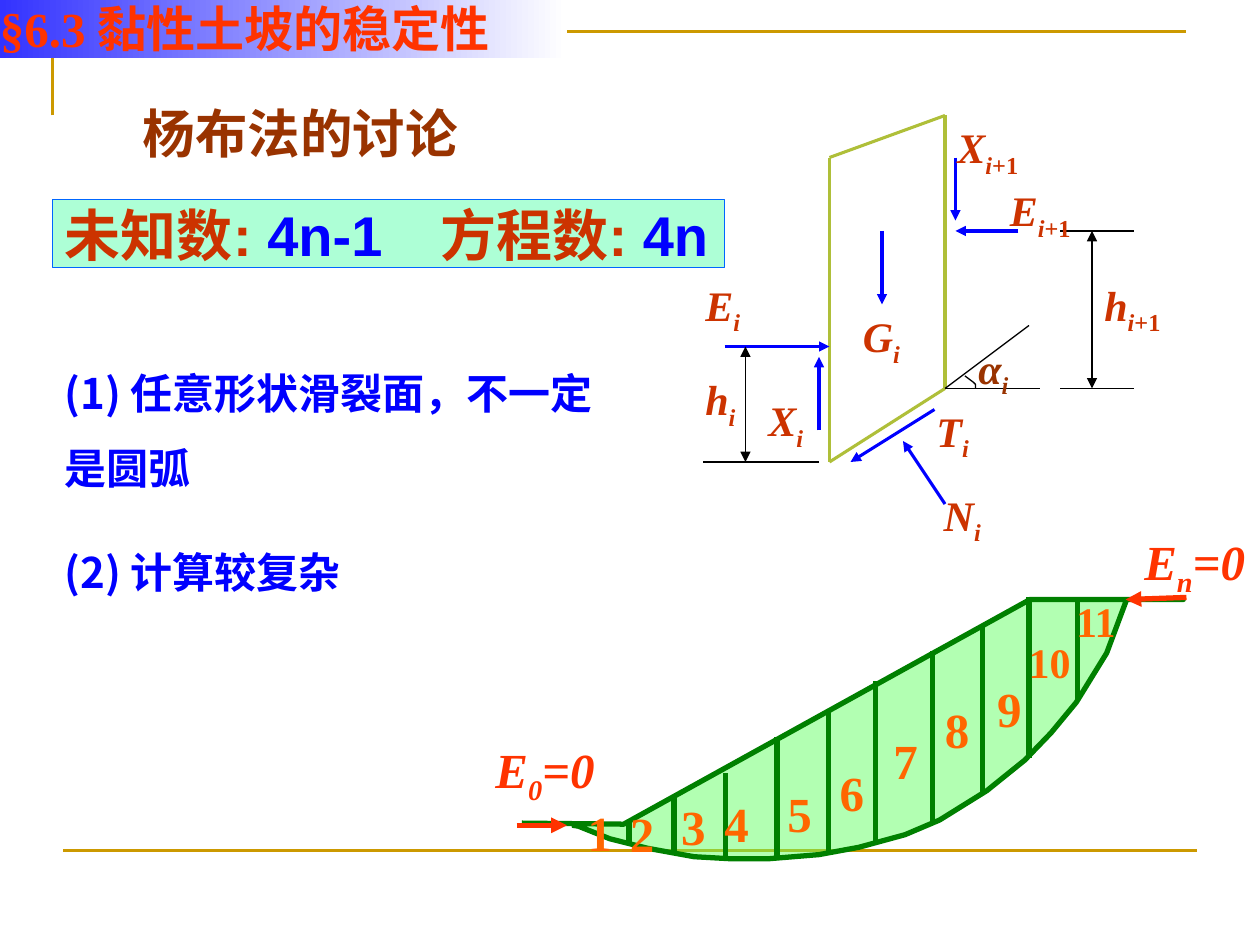
from lxml import etree
from pptx import Presentation
from pptx.dml.color import RGBColor
from pptx.enum.shapes import MSO_CONNECTOR, MSO_SHAPE
from pptx.enum.text import MSO_ANCHOR, PP_ALIGN
from pptx.oxml.ns import qn
from pptx.util import Emu, Inches, Pt

RECT, STRAIGHT = MSO_SHAPE.RECTANGLE, MSO_CONNECTOR.STRAIGHT
TOP, BOTTOM, LEFT = MSO_ANCHOR.TOP, MSO_ANCHOR.BOTTOM, PP_ALIGN.LEFT

GOLD = RGBColor(0xCC, 0x99, 0x00)
OLIVE = RGBColor(0xAF, 0xBF, 0x39)
BLUE = RGBColor(0x00, 0x00, 0xFF)
BLACK = RGBColor(0x00, 0x00, 0x00)
BRICK = RGBColor(0xCC, 0x33, 0x00)
BROWN = RGBColor(0x99, 0x33, 0x00)
GREEN = RGBColor(0x00, 0x80, 0x00)
SOIL = RGBColor(0x66, 0xFF, 0x66)
ORANGE = RGBColor(0xFF, 0x66, 0x00)
RED = RGBColor(0xFF, 0x33, 0x00)
MINT = RGBColor(0xAD, 0xFF, 0xD6)
SKY = RGBColor(0x00, 0x66, 0xFF)
INDIGO = RGBColor(0x33, 0x33, 0xFF)
WHITE = RGBColor(0xFF, 0xFF, 0xFF)

SERIF, SANS, HAN = "Times New Roman", "Arial", "Noto Sans CJK SC"
CELL = Inches(1) // 12  # the slide is a grid of 120 columns by 90 rows


def cells(*counts):
    return [Emu(round(count * CELL)) for count in counts]


class Region:
    """Draws parts in grid cells, counted from the region's top left corner."""

    def __init__(self, slide, left, top):
        self.shapes, self.left, self.top = slide.shapes, left, top

    def place(self, x, y):
        return cells(self.left + x, self.top + y)

    def line(self, start, end, color, width, head=False, tail=False):
        connector = self.shapes.add_connector(
            STRAIGHT, *self.place(*start), *self.place(*end))
        connector.line.color.rgb, connector.line.width = color, Pt(width)
        outline = connector.line._get_or_add_ln()
        for tag, wanted in (("a:headEnd", head), ("a:tailEnd", tail)):
            if wanted:
                etree.SubElement(outline, qn(tag), type="triangle")
        etree.SubElement(connector._element.spPr, qn("a:effectLst"))

    def outline(self, points, color, width):
        corners = [self.place(*point) for point in points]
        builder = self.shapes.build_freeform(*corners[0])
        builder.add_line_segments(corners[1:], close=False)
        shape = builder.convert_to_shape()
        shape.shadow.inherit = False
        shape.fill.background()
        shape.line.color.rgb, shape.line.width = color, Pt(width)
        return shape

    def text(self, x, y, width, height, runs, size, font=SERIF, italic=False):
        box = self.shapes.add_textbox(*self.place(x, y), *cells(width, height))
        write(box, runs, size, font, italic)
        return box

    def panel(self, width, height):
        shape = self.shapes.add_shape(
            RECT, *self.place(0, 0), *cells(width, height))
        shape.shadow.inherit = False
        frame = shape.text_frame
        frame.margin_left = frame.margin_right = 0
        frame.margin_top = frame.margin_bottom = 0
        return shape


def write(shape, runs, size, font, italic=False):
    """Each run is (text, colour) or (text, colour, True) for a subscript;
    only letters of a formula are italic."""
    frame = shape.text_frame
    frame.word_wrap = True
    paragraph = frame.paragraphs[0]
    paragraph.alignment = LEFT
    for content, color, *subscript in runs:
        run = paragraph.add_run()
        run.text = content
        run.font.size, run.font.bold, run.font.name = Pt(size), True, font
        run.font.italic = italic and content != "+1"
        run.font.color.rgb = color
        properties = run.font._element
        etree.SubElement(properties, qn("a:ea"), typeface=HAN)
        if subscript:
            properties.set("baseline", "-25000")


def draw_frame(slide):
    frame = Region(slide, 5, 3)
    frame.outline([(0, 8), (0, 0), (108, 0)], GOLD, 1.5)
    frame.line((1, 78), (109, 78), GOLD, 1.5)


def draw_slice(slide, left, top):
    """Forces on one soil slice."""
    region = Region(slide, left, top)
    # Slice edges
    corners = [(13, 4), (24, 0), (24, 26), (13, 33)]
    for start, end in zip(corners, corners[1:] + corners[:1]):
        region.line(start, end, OLIVE, 1.75)
    # Forces: G, E i, X i, E i+1, X i+1, T, N
    for start, end in [((18, 11), (18, 18)), ((3, 22), (13, 22)),
                       ((12, 30), (12, 23)), ((31, 11), (25, 11)),
                       ((25, 4), (25, 10)), ((23, 28), (15, 33)),
                       ((24, 37), (20, 31))]:
        region.line(start, end, BLUE, 1.75, tail=True)
    # Base angle and extension lines
    for start, end in [((24, 26), (32, 20)), ((24, 26), (33, 26)),
                       ((35, 26), (42, 26)), ((35, 11), (42, 11)),
                       ((12, 33), (1, 33))]:
        region.line(start, end, BLACK, 0.75)
    region.outline([(25.9, 24.8), (26.3, 25.1), (26.7, 25.4),
                    (26.9, 25.6), (26.9, 26)], BLACK, 0.75)
    # Heights of the side forces
    for x, upper, lower in [(38, 11, 26), (5, 22, 33)]:
        region.line((x, upper), (x, lower), BLACK, 0.75, head=True, tail=True)
    # Symbols
    for symbol, x, y, width, following in [
            ("E", 0, 15, 10, False), ("X", 6, 26, 10, False),
            ("T", 22, 27, 7, False), ("N", 22.7, 35, 7, False),
            ("α", 26, 21, 7, False), ("h", 38, 15, 11, True),
            ("G", 15, 18, 11, False), ("E", 29, 6, 10, True),
            ("X", 24, 0, 10, True), ("h", 0, 24, 11, False)]:
        color = BROWN if symbol == "α" else BRICK
        runs = [(symbol, color), ("i", color, True)]
        if following:
            runs.append(("+1", color, True))
        region.text(x, y, width, 6, runs, 24, italic=True)


def draw_slope(slide, left, top):
    """Slope divided into eleven numbered slices."""
    region = Region(slide, left, top)
    soil = region.outline(
        [(3.7, 28.4), (13.4, 28.5), (52.1, 7.1), (66.7, 7.1), (61.3, 7.1),
         (59.4, 12.2), (56.5, 16.9), (54.1, 19.8), (51.6, 22.4), (48, 25.3),
         (43.5, 28.1), (40.2, 29.5), (35.8, 30.7), (32, 31.4), (27.1, 31.8),
         (23.7, 31.8), (20.1, 31.6), (15.7, 30.8), (12.1, 29.9), (9.1, 28.7),
         (8.5, 28.6)], GREEN, 3)
    soil.fill.solid()
    soil.fill.fore_color.rgb = SOIL
    color = soil._element.spPr.find(qn("a:solidFill"))[0]
    etree.SubElement(color, qn("a:alpha"), val="50000")
    # Slice boundaries
    for x, upper, lower in [
            (13.9, 28.2, 30.4), (18.2, 25.8, 31.3), (23.1, 23.6, 32),
            (28, 20.2, 31.7), (32.9, 17.5, 31.2), (37.4, 14.9, 30.2),
            (42.8, 12, 28.3), (47.6, 9.5, 25.4), (52, 6.9, 22.2),
            (56.6, 7.1, 16.6)]:
        region.line((x, lower), (x, upper), GREEN, 3)
    # Slice numbers
    spots = [(8.8, 25.8), (12.8, 25.9), (17.7, 25.3), (21.8, 25), (27.8, 24),
             (32.8, 22), (37.9, 19), (42.8, 16), (47.8, 14), (50.8, 10),
             (55.3, 6.1)]
    for number, (x, y) in enumerate(spots, 1):
        region.text(x, y, 7, 6.8, [(str(number), ORANGE)],
                    28 if number < 10 else 24)
    # End forces
    region.line((3.2, 28.6), (8, 28.6), RED, 3, tail=True)
    region.line((67, 6.9), (61.2, 7.1), RED, 3, tail=True)
    for index, x, y, width in [("0", 0, 19.8, 15.8), ("n", 61.8, 0, 17)]:
        region.text(x, y, width, 6.8,
                    [("E", RED), (index, RED, True), ("=0", RED)],
                    28, italic=True)


def draw_discussion(slide, left, top):
    region = Region(slide, left, top)
    region.text(7.4, 0, 33.2, 10, [("杨布法的讨论", BROWN)], 30, SANS)
    remark = region.text(
        0, 23, 56, 14.6, [("(1) 任意形状滑裂面，不一定是圆弧", BLUE)], 24, HAN)
    remark.text_frame.paragraphs[0].line_spacing = 1.5
    region.text(0, 42.5, 56, 6, [("(2) 计算较复杂", BLUE)], 24, HAN)


def draw_counts(slide, left, top):
    """Number of unknowns beside number of equations."""
    banner = Region(slide, left, top).panel(64, 6.5)
    banner.fill.solid()
    banner.fill.fore_color.rgb = MINT
    banner.line.color.rgb, banner.line.width = SKY, Pt(0.75)
    banner.text_frame.margin_left = Inches(0.1)
    properties = banner.text_frame.paragraphs[0]._p.get_or_add_pPr()
    stops = etree.SubElement(properties, qn("a:tabLst"))
    etree.SubElement(stops, qn("a:tab"), pos=str(Inches(2.98)), algn="l")
    write(banner, [("未知数: ", BRICK), ("4n-1\t", BLUE),
                   ("方程数: ", BRICK), ("4n", BLUE)], 32, SANS)


def draw_title(slide):
    title = Region(slide, 0, 0).panel(54, 5.5)
    title.fill.gradient()
    title.fill.gradient_angle = 0
    for stop, color in zip(title.fill.gradient_stops, (INDIGO, WHITE)):
        stop.color.rgb = color
    title.line.fill.background()
    title.text_frame.vertical_anchor = BOTTOM
    write(title, [("§6.3 黏性土坡的稳定性", RED)], 28, SERIF)


def main():
    deck = Presentation()
    deck.slide_width, deck.slide_height = cells(120, 90)
    slide = deck.slides.add_slide(deck.slide_layouts[6])
    draw_frame(slide)
    draw_slice(slide, 66, 11)
    draw_slope(slide, 46, 50)
    draw_discussion(slide, 5, 9)
    draw_counts(slide, 5, 19)
    draw_title(slide)
    deck.save("out.pptx")


if __name__ == "__main__":
    main()
